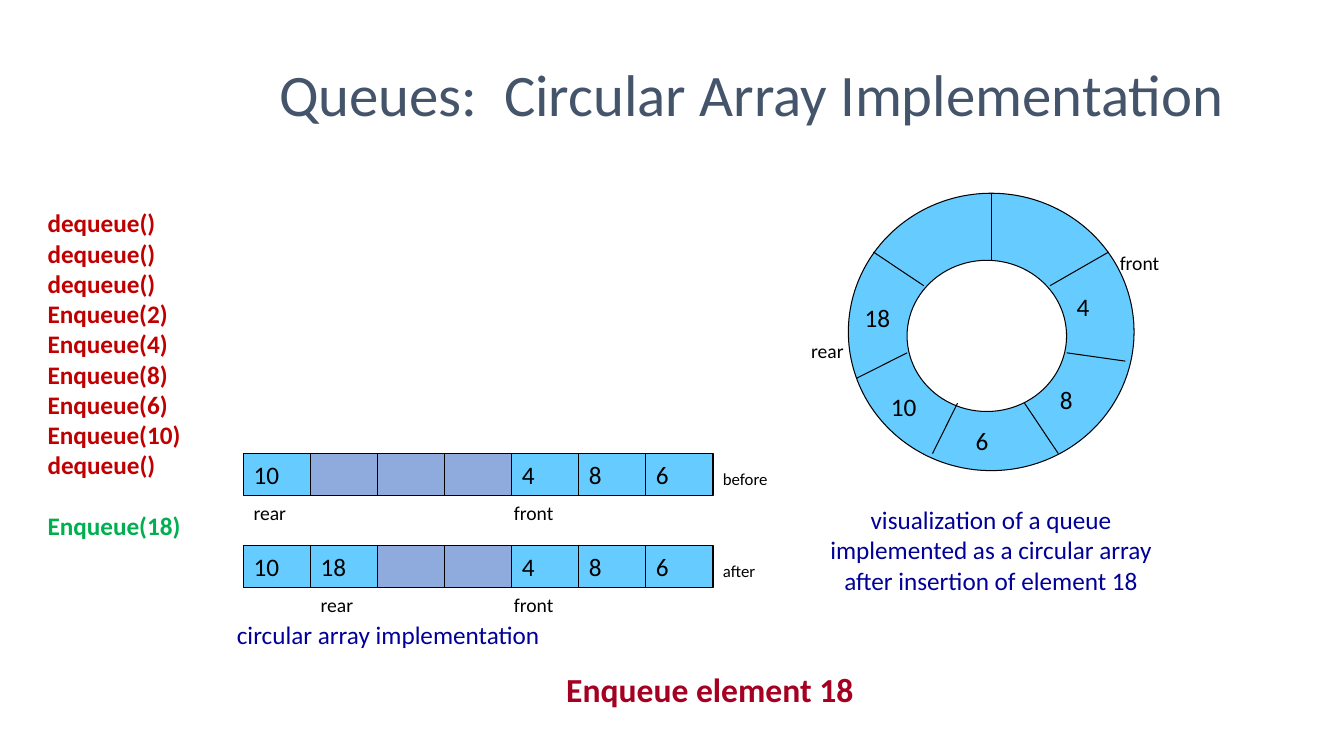
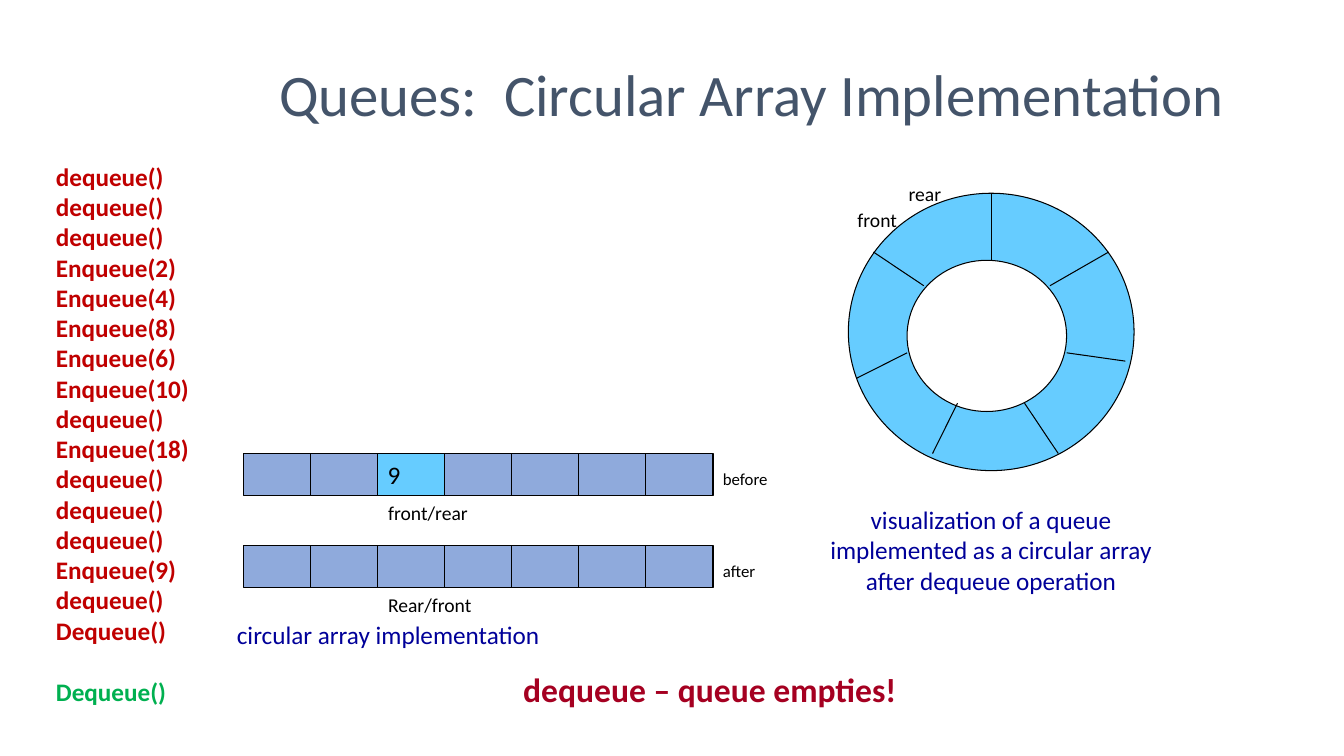
import pptx
import pptx.util
import pptx.dml.color
import pptx.enum.shapes
import pptx.enum.text
import pptx.oxml.ns
from lxml import etree

Cm, Pt = pptx.util.Cm, pptx.util.Pt
SHAPE = pptx.enum.shapes.MSO_SHAPE
ALIGN = pptx.enum.text.PP_ALIGN
ANCHOR = pptx.enum.text.MSO_ANCHOR

# Shared style
FONT = "Calibri"
COLORS = {"title": "44546A", "headline": "A50021", "caption": "000099",
          "done": "C00000", "current": "00B050", "text": "000000",
          "line": "000000", "full": "66CCFF", "empty": "8FAADC", "hole": "FFFFFF"}

# Content; all positions in cm
TITLE = "Queues:  Circular Array Implementation"
ARRAY_CAPTION = "circular array implementation"
RING_CAPTION = ["visualization of a queue", "implemented as a circular array"]
FIRST_CALLS = ["dequeue()"] * 3 + ["Enqueue(2)", "Enqueue(4)", "Enqueue(8)",
                                   "Enqueue(6)", "Enqueue(10)", "dequeue()"]
SLIDES = [
    {"headline": "Enqueue element 18",
     "calls": FIRST_CALLS + ["Enqueue(18)"],
     "calls_at": (0.95, 5.11),
     "arrays": [
         ("before", ["10", "", "", "", "4", "8", "6"], [("rear", 6.14), ("front", 12.7)]),
         ("after", ["10", "18", "", "", "4", "8", "6"], [("rear", 7.83), ("front", 12.7)])],
     "ring_caption": "after insertion of element 18",
     "ring_values": [("6", 24.34, 10.58), ("4", 26.88, 7.2), ("8", 26.46, 9.53),
                     ("10", 22.2, 9.7), ("18", 21.54, 7.47)],
     "ring_labels": [("rear", 20.19, 8.2), ("front", 27.97, 5.99)]},
    {"headline": "dequeue – queue empties!",
     "calls": FIRST_CALLS + ["Enqueue(18)"] + ["dequeue()"] * 3
     + ["Enqueue(9)", "dequeue()", "Dequeue()", "Dequeue()"],
     "calls_at": (1.16, 3.94),
     "arrays": [
         ("before", ["", "", "9", "", "", "", ""], [("front/rear", 9.53)]),
         ("after", [""] * 7, [("Rear/front", 9.53)])],
     "ring_caption": "after dequeue operation",
     "ring_values": [],
     "ring_labels": [("rear", 22.65, 4.24), ("front", 21.36, 4.9)]},
]

# Array grid
ARRAY_LEFT, ARRAY_TOP, ARRAY_STEP = 6.14, 11.43, 2.32
CELL_W, CELL_H = 1.69, 1.06
LABEL_W, LABEL_H = 3.2, 1.27

# Ring: outer and inner ellipse, then the dividers between the seven slots
RING = [("full", (21.38, 4.87, 7.2, 6.99)), ("hole", (22.86, 6.56, 4.02, 3.81))]
DIVIDERS = [(24.98, 4.87, 24.98, 6.56), (25.82, 10.16, 26.67, 11.43),
            (26.46, 7.2, 27.94, 6.35), (26.88, 8.89, 28.36, 9.1),
            (24.13, 10.16, 23.5, 11.43), (22.86, 8.89, 21.59, 9.53),
            (22.01, 6.35, 23.28, 7.2)]


def rgb(name):
    return pptx.dml.color.RGBColor.from_string(COLORS[name])


def write(shape, lines, size, color="text", bold=False, align=ALIGN.LEFT, wrap=False):
    tf = shape.text_frame
    tf.word_wrap = wrap
    tf.vertical_anchor = ANCHOR.MIDDLE
    tf.text = "\n".join(lines)
    for p in tf.paragraphs:
        p.alignment = align
        p.font.name, p.font.size, p.font.bold = FONT, Pt(size), bold
        p.font.color.rgb = rgb(color)
    return tf


def add_text(s, box, lines, size, **style):
    return write(s.shapes.add_textbox(*map(Cm, box)), lines, size, **style)


def add_label(s, text, left, top):
    add_text(s, (left, top, LABEL_W, LABEL_H), [text], 14)


def add_outlined(s, kind, box, fill):
    sp = s.shapes.add_shape(kind, *map(Cm, box))
    sp.shadow.inherit = False
    sp.fill.solid()
    sp.fill.fore_color.rgb = rgb(fill)
    sp.line.color.rgb = rgb("line")
    sp.line.width = Pt(0.75)
    return sp


def add_title(s):
    sp = s.shapes.title
    sp.left, sp.top, sp.width, sp.height = map(Cm, (6.78, 0.76, 25.65, 3.18))
    tf = write(sp, [TITLE], 42, color="title", wrap=True)
    tf.auto_size = pptx.enum.text.MSO_AUTO_SIZE.NONE


def add_calls(s, calls, at):
    # Earlier calls in red, the current one set apart in green
    box = (*at, 5.72, 0.78 * (len(calls) + 1) + 0.25)
    tf = add_text(s, box, calls, 18, color="done", bold=True, wrap=True)
    tf.vertical_anchor = ANCHOR.TOP
    current = tf.paragraphs[-1]
    current.space_before = Pt(22)
    current.font.color.rgb = rgb("current")


def add_array(s, top, name, values, labels):
    for i, value in enumerate(values):
        box = (ARRAY_LEFT + i * CELL_W, top, CELL_W, CELL_H)
        cell = add_outlined(s, SHAPE.RECTANGLE, box, "full" if value else "empty")
        if value:
            write(cell, [value], 18)
    for label, left in labels:
        add_label(s, label, left, top + 0.85)
    right = ARRAY_LEFT + len(values) * CELL_W
    add_text(s, (right, top + 0.21, 2.54, 0.85), [name], 12)


def add_ring(s, values, labels):
    for fill, box in RING:
        add_outlined(s, SHAPE.OVAL, box, fill)
    for ends in DIVIDERS:
        line = s.shapes.add_connector(
            pptx.enum.shapes.MSO_CONNECTOR.STRAIGHT, *map(Cm, ends))
        line.line.color.rgb = rgb("line")
        line.line.width = Pt(0.75)
        etree.SubElement(line._element.spPr, pptx.oxml.ns.qn("a:effectLst"))
    for value, left, top in values:
        add_text(s, (left, top, 1.48, 1.06), [value], 18)
    for label in labels:
        add_label(s, *label)


def main():
    prs = pptx.Presentation()
    prs.slide_width, prs.slide_height = Cm(33.87), Cm(19.05)
    for data in SLIDES:
        s = prs.slides.add_slide(prs.slide_layouts[5])
        add_title(s)
        add_calls(s, data["calls"], data["calls_at"])
        for i, array in enumerate(data["arrays"]):
            add_array(s, ARRAY_TOP + i * ARRAY_STEP, *array)
        add_ring(s, data["ring_values"], data["ring_labels"])
        # Captions and headline
        add_text(s, (5.72, 15.03, 11.22, 1.91), [ARRAY_CAPTION], 18, color="caption")
        add_text(s, (20.32, 12.69, 9.31, 2.33), RING_CAPTION + [data["ring_caption"]], 18,
                 color="caption", align=ALIGN.CENTER)
        add_text(s, (12.28, 16.51, 11.22, 1.69), [data["headline"]], 24,
                 color="headline", bold=True, align=ALIGN.CENTER)
    prs.save("out.pptx")


if __name__ == "__main__":
    main()
